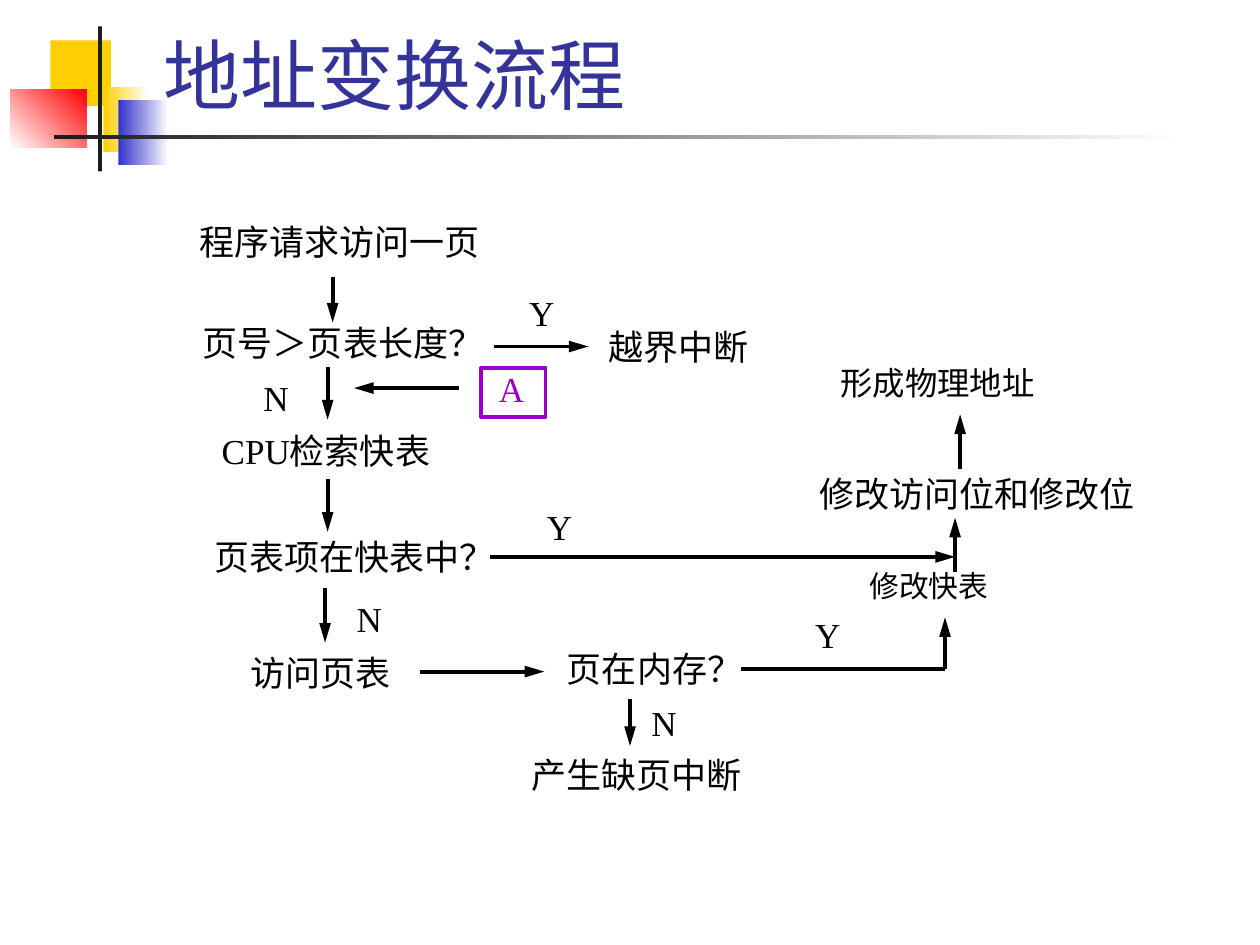
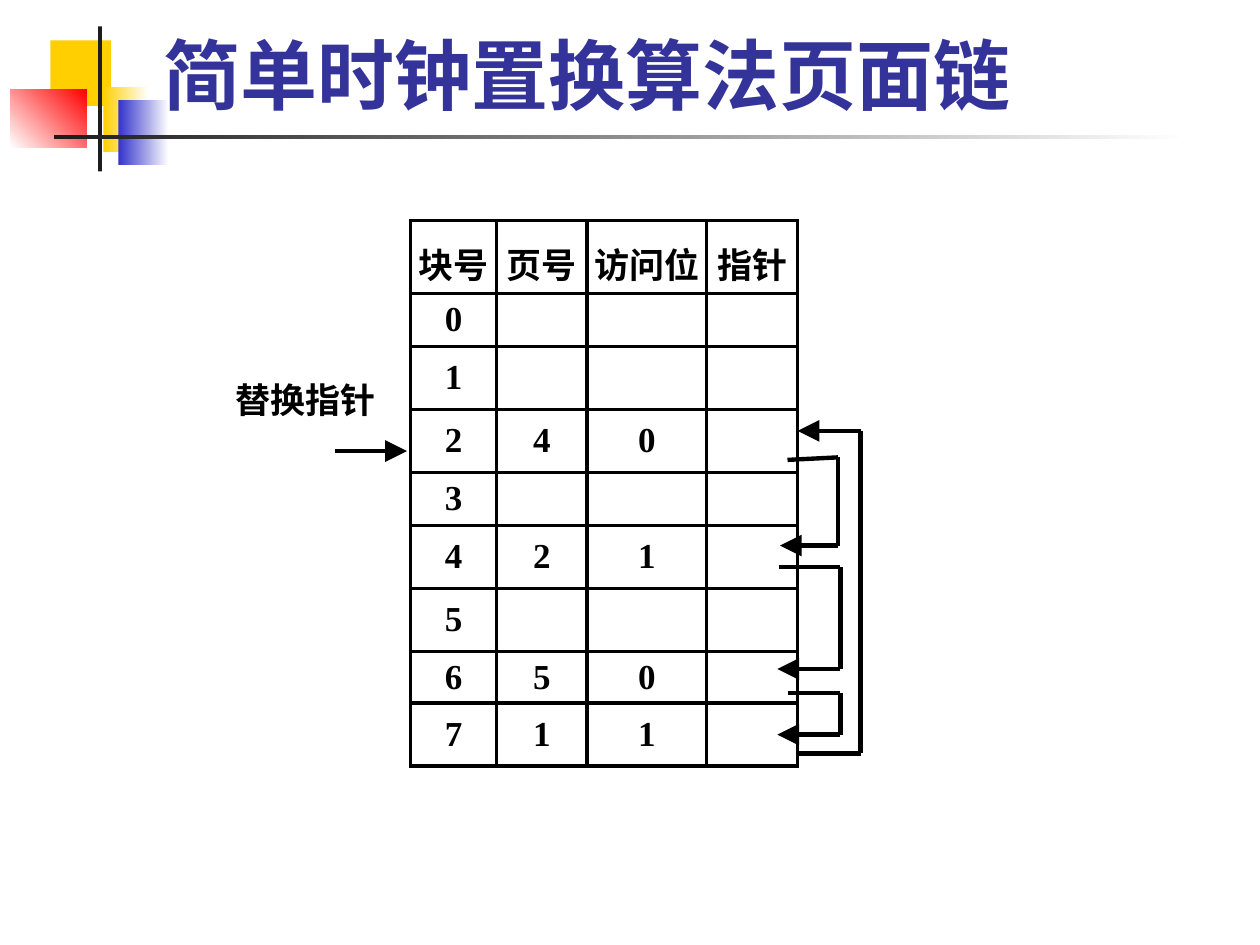
from itertools import pairwise

from lxml import etree
from pptx import Presentation
from pptx.dml.color import RGBColor
from pptx.enum.shapes import MSO_CONNECTOR, MSO_SHAPE
from pptx.enum.text import MSO_ANCHOR, MSO_AUTO_SIZE, PP_ALIGN
from pptx.oxml.ns import qn
from pptx.util import Inches, Pt

COLORS = {
    "ink": "000000", "white": "FFFFFF", "title": "333399", "dark": "1C1C1C",
    "yellow": "FFCF01", "blue": "3333CC", "red": "FF0000", "violet": "9900CC",
}
TITLE_FONT, BODY_FONT = "Lato", "Times New Roman"
TITLE_BOX = (1.2, 0.17, 8.52, 0.83)

# Shared decoration: box, colours (two make a gradient), angle
DECORATION = [
    ((0.4, 0.32, 0.48, 0.52), ["yellow"], 0),
    ((0.82, 0.69, 0.36, 0.52), ["yellow", "white"], 0),
    ((0.94, 0.79, 0.4, 0.52), ["blue", "white"], 0),
    ((0.08, 0.71, 0.61, 0.46), ["white", "red"], 45),
    ((0.78, 0.21, 0.03, 1.15), ["dark"], 0),
    ((0.43, 1.07, 9, 0.03), ["dark", "white"], 0),
]

# Flow chart: text, box, size, line spacing
FLOW_TITLE = "地址变换流程"
FLOW_STEPS = [
    ("程序请求访问一页", (1.58, 1.75, 2.53, 0.42), 20, 1),
    ("页号＞页表长度？", (1.61, 2.55, 2.81, 0.37), 20, 1),
    ("越界中断", (4.83, 2.58, 1.53, 0.37), 20, 1),
    ("CPU检索快表", (1.76, 3.41, 1.9, 0.34), 20, 1),
    ("页表项在快表中？", (1.7, 4.25, 2.3, 0.42), 20, 1),
    ("访问页表", (1.99, 5.17, 1.42, 0.33), 20, 1),
    ("页在内存？", (4.5, 5.14, 1.5, 0.36), 20, 1),
    ("产生缺页中断", (4.22, 5.98, 1.78, 0.36), 20, 1),
    ("修改快表", (6.9, 4.54, 1.18, 0.29), 17, 0.9),
    ("修改访问位和修改位", (6.5, 3.75, 2.75, 0.33), 20, 1),
    ("形成物理地址", (6.67, 2.92, 1.91, 0.33), 18.5, 0.9),
]
BRANCH_LABELS = [
    ("Y", 4.2, 2.31), ("N", 2.09, 2.99), ("Y", 4.34, 4.01),
    ("N", 2.83, 4.74), ("N", 5.17, 5.57), ("Y", 6.47, 4.87),
]
ENTRY_LABEL, ENTRY_BOX = "A", (3.82, 2.92, 0.51, 0.39)
FLOW_ARROWS = [
    [(2.64, 2.2), (2.64, 2.56)],
    [(3.92, 2.75), (4.67, 2.75)],
    [(2.6, 2.91), (2.6, 3.33)],
    [(3.64, 3.08), (2.81, 3.08)],
    [(2.6, 3.8), (2.6, 4.22)],
    [(3.89, 4.42), (7.58, 4.42)],
    [(2.58, 4.67), (2.58, 5.1)],
    [(3.33, 5.33), (4.32, 5.33)],
    [(5, 5.55), (5, 5.92)],
    [(5.88, 5.31), (7.5, 5.31), (7.5, 4.9)],
    [(7.58, 4.54), (7.58, 4.11)],
    [(7.62, 3.72), (7.62, 3.29)],
]

# Page chain
CHAIN_TITLE = "简单时钟置换算法页面链"
CHAIN_HEADER = ["块号", "页号", "访问位", "指针"]
FRAME_COUNT = 8
LOADED_PAGES = {2: ("4", "0"), 4: ("2", "1"), 6: ("5", "0"), 7: ("1", "1")}
COLUMN_EDGES = [3.26, 3.94, 4.66, 5.61, 6.33]
ROW_EDGES = [1.75, 2.33, 2.75, 3.25, 3.75, 4.17, 4.67, 5.17, 5.58, 6.08]
HAND_LABEL, HAND_BOX = "替换指针", (1.87, 3, 1.21, 0.41)
CHAIN_ARROWS = [
    [(2.66, 3.58), (3.23, 3.58)],
    [(6.25, 3.65), (6.65, 3.63), (6.65, 4.33), (6.19, 4.33)],
    [(6.18, 4.5), (6.67, 4.5), (6.67, 5.31), (6.17, 5.31)],
    [(6.25, 5.5), (6.67, 5.5), (6.67, 5.83), (6.17, 5.83)],
    [(6.33, 5.98), (6.83, 5.98), (6.83, 3.42), (6.33, 3.42)],
]


def rgb(name):
    return RGBColor.from_string(COLORS[name])


def inches(values):
    return [Inches(value) for value in values]


def add_run(paragraph, text, size, color="ink", bold=False, font=BODY_FONT):
    run = paragraph.add_run()
    run.text = text
    run.font.name = font
    run.font.size = Pt(size)
    run.font.bold = bold
    run.font.color.rgb = rgb(color)


def clear_margins(frame):
    frame.margin_left = frame.margin_top = 0
    frame.margin_right = frame.margin_bottom = 0


def add_label(slide, text, box, size=20, spacing=1, bold=False):
    frame = slide.shapes.add_textbox(*inches(box)).text_frame
    frame.word_wrap = True
    clear_margins(frame)
    paragraph = frame.paragraphs[0]
    paragraph.alignment = PP_ALIGN.JUSTIFY
    paragraph.line_spacing = spacing
    add_run(paragraph, text, size, bold=bold)


def add_arrow(slide, points, width, head_width):
    """Draw straight segments through the points, with a head at the last."""
    for start, end in pairwise(points):
        line = slide.shapes.add_connector(
            MSO_CONNECTOR.STRAIGHT, *inches(start + end))
        line.line.width = Pt(width)
        line.line.color.rgb = rgb("ink")
        etree.SubElement(line.element.spPr, qn("a:effectLst"))
    etree.SubElement(line.line._get_or_add_ln(), qn("a:tailEnd"),
                     type="triangle", w=head_width, len="lg")


def decorate_layout(layout, slide):
    """Build the corner blocks and rule, then hand them to the layout."""
    for box, colors, angle in DECORATION:
        block = slide.shapes.add_shape(MSO_SHAPE.RECTANGLE, *inches(box))
        block.shadow.inherit = False
        block.line.fill.background()
        if len(colors) == 1:
            block.fill.solid()
            block.fill.fore_color.rgb = rgb(colors[0])
        else:
            block.fill.gradient()
            block.fill.gradient_angle = angle
            for stop, color in zip(block.fill.gradient_stops, colors):
                stop.color.rgb = rgb(color)
        layout.shapes.element.append(block.element)


def add_titled_slide(presentation, layout, text, bold=False):
    slide = presentation.slides.add_slide(layout)
    title = slide.shapes.title
    title.left, title.top, title.width, title.height = inches(TITLE_BOX)
    frame = title.text_frame
    frame.auto_size = MSO_AUTO_SIZE.NONE
    frame.vertical_anchor = MSO_ANCHOR.BOTTOM
    paragraph = frame.paragraphs[0]
    paragraph.alignment = PP_ALIGN.LEFT
    add_run(paragraph, text, 44, "title", bold, TITLE_FONT)
    return slide


def add_entry_box(slide):
    entry = slide.shapes.add_shape(MSO_SHAPE.RECTANGLE, *inches(ENTRY_BOX))
    entry.shadow.inherit = False
    entry.fill.background()
    entry.line.color.rgb = rgb("violet")
    entry.line.width = Pt(2.25)
    frame = entry.text_frame
    clear_margins(frame)
    frame.margin_left = Inches(0.14)
    frame.vertical_anchor = MSO_ANCHOR.TOP
    frame.paragraphs[0].alignment = PP_ALIGN.LEFT
    add_run(frame.paragraphs[0], ENTRY_LABEL, 20, "violet")


def format_cell(cell, text):
    clear_margins(cell)
    cell.vertical_anchor = MSO_ANCHOR.MIDDLE
    paragraph = cell.text_frame.paragraphs[0]
    paragraph.alignment = PP_ALIGN.CENTER
    paragraph.font.size = Pt(20)
    if text:
        add_run(paragraph, text, 20, bold=True)
    properties = cell._tc.get_or_add_tcPr()
    for side in ("lnL", "lnR", "lnT", "lnB"):
        border = etree.SubElement(properties, qn(f"a:{side}"), w=str(Pt(2.25)))
        fill = etree.SubElement(border, qn("a:solidFill"))
        etree.SubElement(fill, qn("a:srgbClr"), val=COLORS["ink"])
    cell.fill.solid()
    cell.fill.fore_color.rgb = rgb("white")


def add_chain_table(slide):
    rows = [CHAIN_HEADER]
    for frame_number in range(FRAME_COUNT):
        page, accessed = LOADED_PAGES.get(frame_number, ("", ""))
        rows.append([str(frame_number), page, accessed, ""])
    left, top = COLUMN_EDGES[0], ROW_EDGES[0]
    box = (left, top, COLUMN_EDGES[-1] - left, ROW_EDGES[-1] - top)
    table = slide.shapes.add_table(
        len(rows), len(CHAIN_HEADER), *inches(box)).table
    table.first_row = table.horz_banding = False
    for column, (start, end) in zip(table.columns, pairwise(COLUMN_EDGES)):
        column.width = Inches(end - start)
    for row, (start, end) in zip(table.rows, pairwise(ROW_EDGES)):
        row.height = Inches(end - start)
    for row, texts in zip(table.rows, rows):
        for cell, text in zip(row.cells, texts):
            format_cell(cell, text)
    for cell in table.rows[0].cells:
        cell.margin_top = Inches(0.1)


def main():
    presentation = Presentation()
    presentation.slide_width, presentation.slide_height = inches((10, 7.5))
    layout = presentation.slide_layouts[5]

    # Address translation flow
    flow = add_titled_slide(presentation, layout, FLOW_TITLE)
    decorate_layout(layout, flow)
    for step in FLOW_STEPS:
        add_label(flow, *step)
    for text, left, top in BRANCH_LABELS:
        add_label(flow, text, (left, top, 0.41, 0.4))
    add_entry_box(flow)
    for points in FLOW_ARROWS:
        add_arrow(flow, points, 2.25, "med")

    # Clock replacement page chain
    chain = add_titled_slide(presentation, layout, CHAIN_TITLE, bold=True)
    add_chain_table(chain)
    add_label(chain, HAND_LABEL, HAND_BOX, bold=True)
    for points in CHAIN_ARROWS:
        add_arrow(chain, points, 2.5, "lg")

    presentation.save("out.pptx")


if __name__ == "__main__":
    main()
